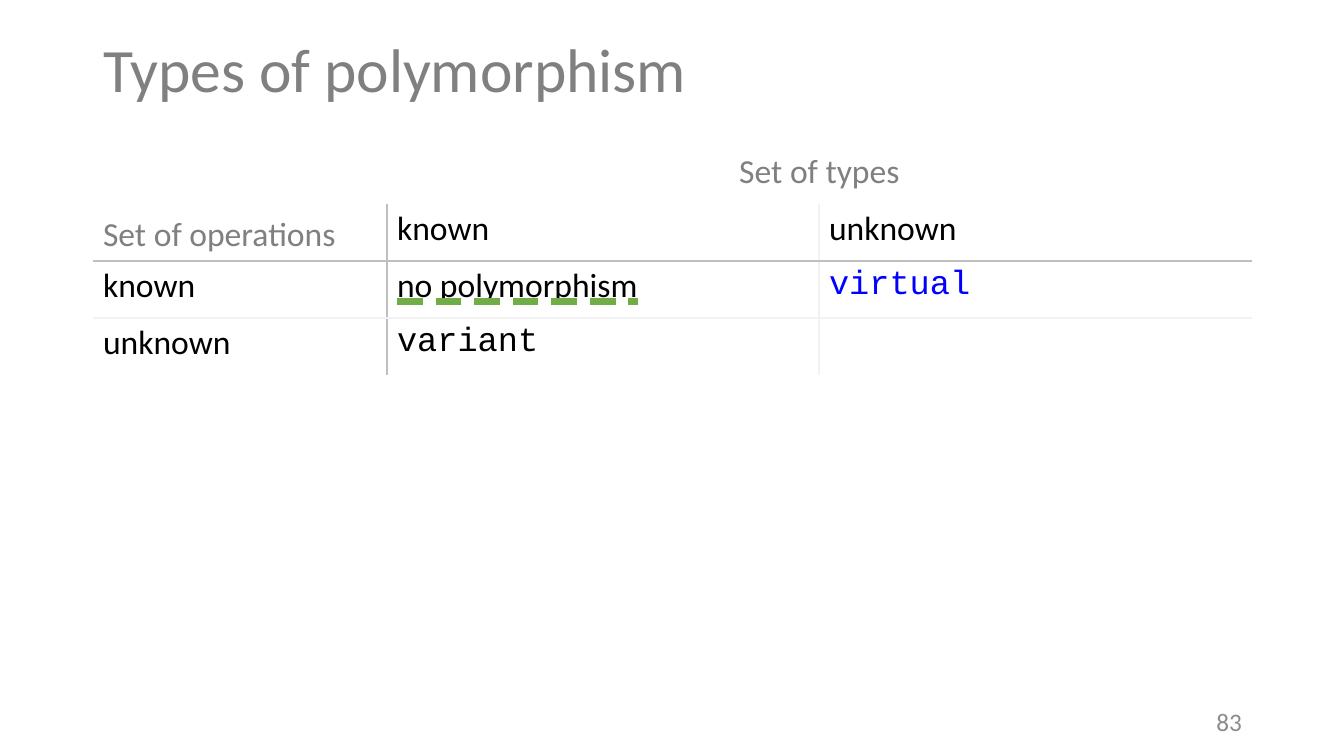
from lxml import etree
from pptx import Presentation
from pptx.dml.color import RGBColor
from pptx.enum.text import MSO_ANCHOR, MSO_AUTO_SIZE, MSO_UNDERLINE, PP_ALIGN
from pptx.oxml.ns import qn
from pptx.util import Pt

SCALE = 914400 / 100.8
LEFT, CENTER, RIGHT = PP_ALIGN.LEFT, PP_ALIGN.CENTER, PP_ALIGN.RIGHT
TOP, MIDDLE, BOTTOM = MSO_ANCHOR.TOP, MSO_ANCHOR.MIDDLE, MSO_ANCHOR.BOTTOM
NO_AUTOFIT = MSO_AUTO_SIZE.NONE
DASH_HEAVY = MSO_UNDERLINE.DASH_HEAVY_LINE
NO_GRID_STYLE = "{2D5ABB26-0587-4C30-8999-92F81FD0307C}"
COLORS = {
    "heading": "808080",
    "number": "8C8C8C",
    "body": "000000",
    "keyword": "0000FF",
    "rule": "BFBFBF",
    "faint": "F2F2F2",
    "underline": "70AD47",
}


def px(length):
    return round(length * SCALE)


def write(frame, text, size, color, align=LEFT, face="Calibri"):
    paragraph = frame.paragraphs[0]
    paragraph.alignment = align
    run = paragraph.add_run()
    run.text = text
    run.font.size = Pt(size)
    run.font.name = face
    run.font.color.rgb = RGBColor.from_string(COLORS[color])
    return run


prs = Presentation()
prs.slide_width, prs.slide_height = px(1344), px(756)
slide = prs.slides.add_slide(prs.slide_layouts[5])

title = slide.shapes.title
title.left, title.top, title.width, title.height = px(93), px(0), px(1159), px(146)
title.text_frame.auto_size = NO_AUTOFIT
title.text_frame.vertical_anchor = MIDDLE
title.text_frame.paragraphs[0].line_spacing = 0.9
write(title.text_frame, "Types of polymorphism", 44, "heading")

page_number = slide.shapes.add_textbox(px(950), px(701), px(302), px(40)).text_frame
page_number.word_wrap = True
page_number.vertical_anchor = MIDDLE
write(page_number, "83", 18, "number", RIGHT)

column_widths = [294, 432, 433]
row_height = 57
table_frame = slide.shapes.add_table(4, 3, px(93), px(147), px(sum(column_widths)), px(4 * row_height))
matrix = table_frame.table
matrix.first_row = matrix.horz_banding = False
matrix._tbl.tblPr.find(qn("a:tableStyleId")).text = NO_GRID_STYLE
for column, width in zip(matrix.columns, column_widths):
    column.width = px(width)
for row in matrix.rows:
    row.height = px(row_height)

vertical_rules = ["rule", "faint"]
horizontal_rules = {1: "rule", 2: "faint"}
for r in range(4):
    for c in range(3):
        cell = matrix.cell(r, c)
        properties = cell._tc.get_or_add_tcPr()
        sides = {
            "a:lnL": vertical_rules[c - 1] if r > 0 and c > 0 else None,
            "a:lnR": vertical_rules[c] if r > 0 and c < 2 else None,
            "a:lnT": horizontal_rules.get(r - 1),
            "a:lnB": horizontal_rules.get(r),
        }
        if (r, c) == (0, 0):
            sides["a:lnB"] = "rule"
        for side, color in sides.items():
            if color:
                border = etree.SubElement(properties, qn(side), w=str(Pt(1)))
                border_fill = etree.SubElement(border, qn("a:solidFill"))
                etree.SubElement(border_fill, qn("a:srgbClr"), val=COLORS[color])
        cell.fill.background()

matrix.cell(0, 0).merge(matrix.cell(1, 0))
matrix.cell(0, 1).merge(matrix.cell(0, 2))

entries = [
    (0, 0, "Set of operations", "heading", LEFT, BOTTOM, "Calibri"),
    (0, 1, "Set of types", "heading", CENTER, TOP, "Calibri"),
    (1, 1, "known", "body", LEFT, TOP, "Calibri"),
    (1, 2, "unknown", "body", LEFT, TOP, "Calibri"),
    (2, 0, "known", "body", LEFT, TOP, "Calibri"),
    (2, 1, "no polymorphism", "body", LEFT, TOP, "Calibri"),
    (2, 2, "virtual", "keyword", LEFT, TOP, "Courier New"),
    (3, 0, "unknown", "body", LEFT, TOP, "Calibri"),
    (3, 1, "variant", "body", LEFT, TOP, "Courier New"),
]
for r, c, text, color, align, anchor, face in entries:
    cell = matrix.cell(r, c)
    cell.vertical_anchor = anchor
    run = write(cell.text_frame, text, 24, color, align, face)
    if text == "no polymorphism":
        run.font.underline = DASH_HEAVY
        underline = etree.Element(qn("a:uFill"))
        underline_fill = etree.SubElement(underline, qn("a:solidFill"))
        etree.SubElement(underline_fill, qn("a:srgbClr"), val=COLORS["underline"])
        run.font._element.find(qn("a:latin")).addprevious(underline)

prs.save("out.pptx")
